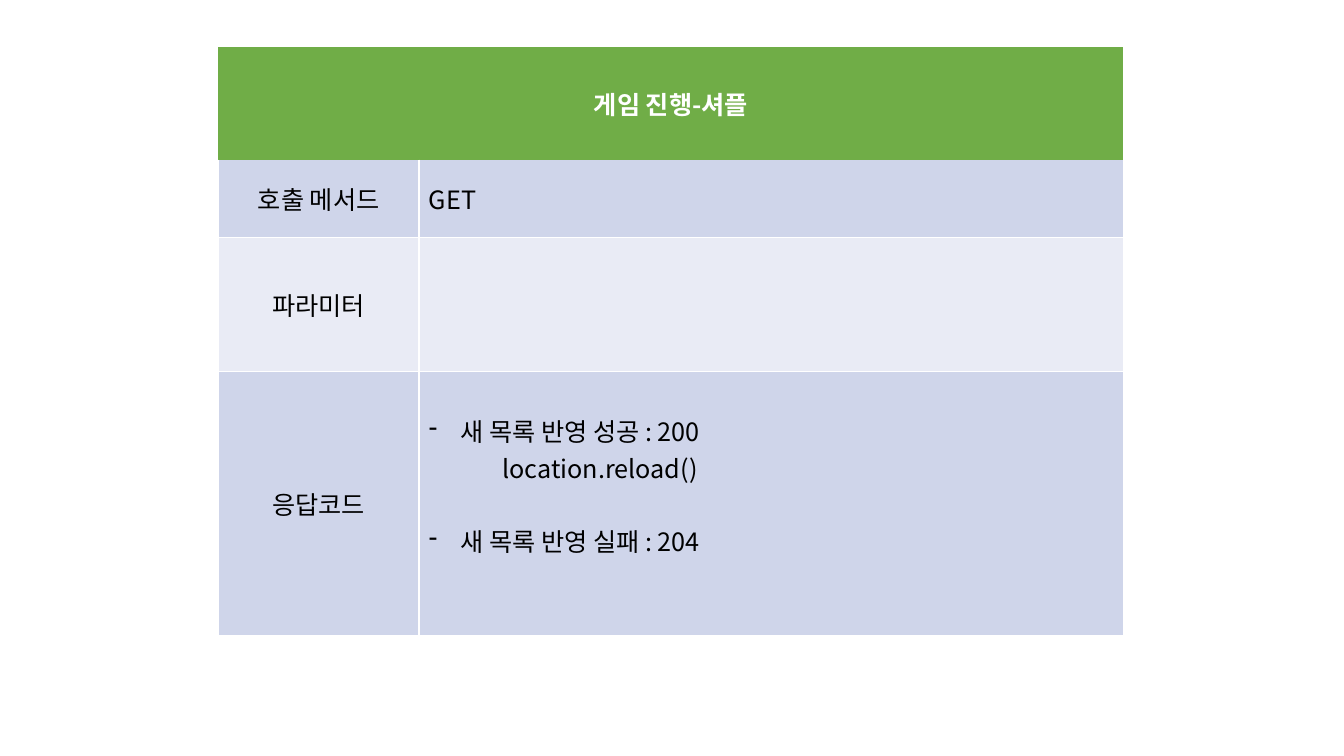
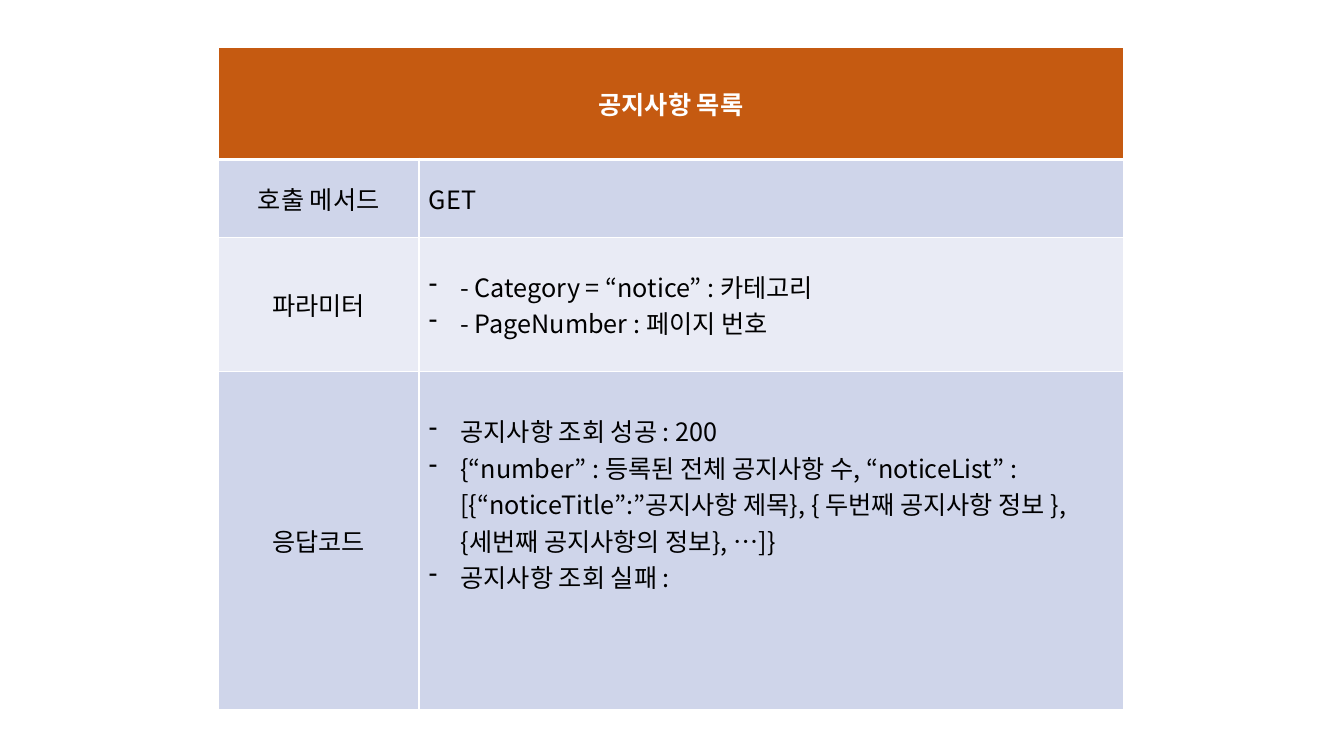
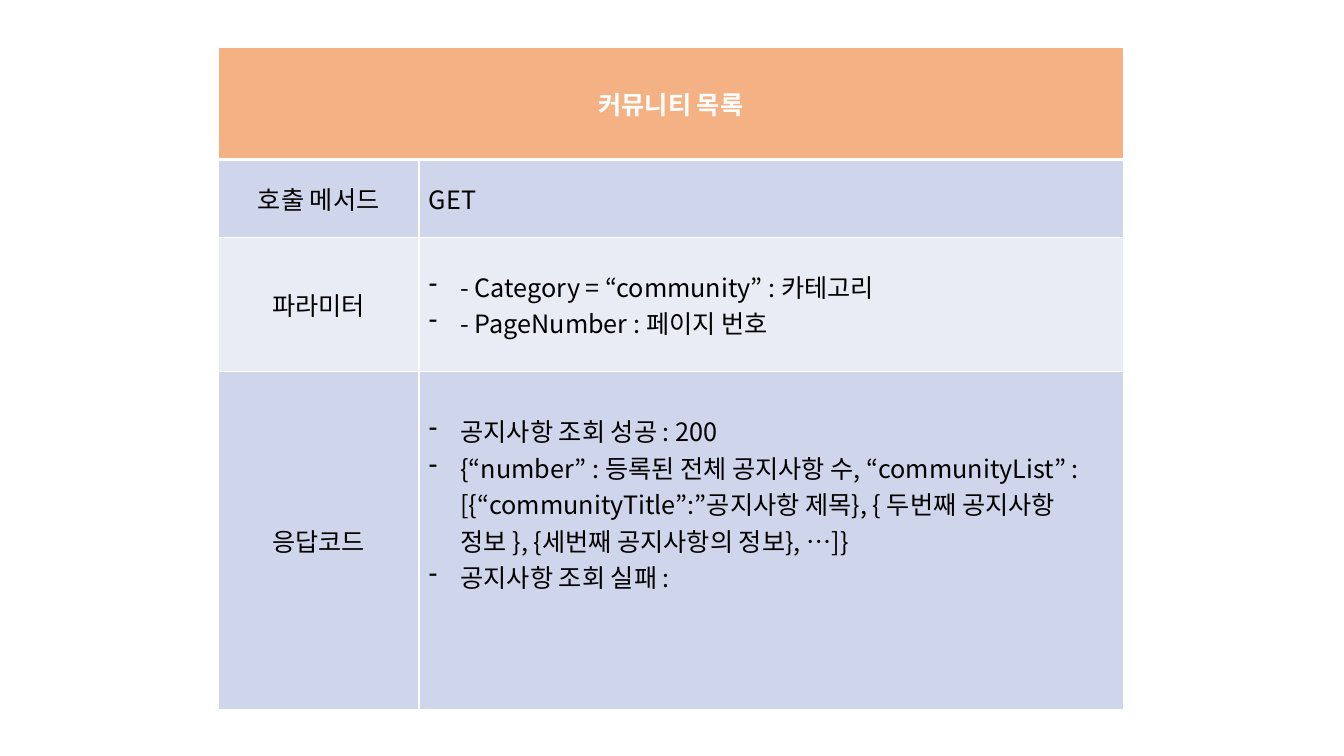
from lxml.etree import SubElement as Sub
from pptx import Presentation
from pptx.dml.color import RGBColor as RGB
from pptx.enum.text import MSO_ANCHOR as ANC, PP_ALIGN as ALIGN
from pptx.oxml.ns import qn
from pptx.util import Pt

PX = 9525
FONT = "Noto Sans CJK KR"
WHITE = RGB(0xFF, 0xFF, 0xFF)
BLACK = RGB(0x00, 0x00, 0x00)
GREEN = RGB(0x70, 0xAD, 0x47)
RUST = RGB(0xC5, 0x5A, 0x11)
PEACH = RGB(0xF4, 0xB1, 0x83)
BLUE = RGB(0xCF, 0xD5, 0xEA)
PALE = RGB(0xE9, 0xEB, 0xF5)

LEFT, TOP = 208, 45
COLS = [191, 671]
ROWS = [107, 74, 128]
LABELS = ["호출 메서드", "파라미터", "응답코드"]
FILLS = [BLUE, PALE, BLUE]
DASH, PLAIN, DEEP = "dash", "plain", "deep"
GAP = 26


def edge(cell, sides):
    props = cell._tc.get_or_add_tcPr()
    for side in "LRTB":
        width = sides.get(side, 1)
        line = Sub(props, qn("a:ln" + side), w=str(Pt(width)))
        if width:
            Sub(Sub(line, qn("a:solidFill")), qn("a:srgbClr"), val=str(WHITE))
        else:
            Sub(line, qn("a:noFill"))


def write(para, text, color=BLACK, bold=False, kind=PLAIN):
    run = para.add_run()
    run.text = text
    font = run.font
    font.size, font.bold, font.name = Pt(18), bold, FONT
    font.color.rgb = color
    Sub(run._r.get_or_add_rPr(), qn("a:ea"), typeface=FONT)
    props = para._p.get_or_add_pPr()
    if kind == DASH:
        props.set("marL", str(30 * PX))
        props.set("indent", str(-30 * PX))
        Sub(props, qn("a:buFontTx"))
        Sub(props, qn("a:buChar"), char="-")
    elif kind == DEEP:
        props.set("marL", str(70 * PX))


pages = [
    ("게임 진행-셔플", GREEN, 251, 0, [], [
        (DASH, 0, "새 목록 반영 성공 : 200"),
        (DEEP, 0, "location.reload()"),
        (DASH, GAP, "새 목록 반영 실패 : 204"),
    ]),
]
for title, color, word in [("공지사항 목록", RUST, "notice"),
                           ("커뮤니티 목록", PEACH, "community")]:
    pages.append((title, color, 322, 3, [
        (DASH, 0, f"- Category = “{word}” : 카테고리"),
        (DASH, 0, "- PageNumber : 페이지 번호"),
    ], [
        (DASH, 0, "공지사항 조회 성공 : 200"),
        (DASH, 0, f"{{“number” : 등록된 전체 공지사항 수, “{word}List” : "
                  f"[{{“{word}Title”:”공지사항 제목}}, {{ 두번째 공지사항 정보 }}, "
                  "{세번째 공지사항의 정보}, …]}"),
        (DASH, 0, "공지사항 조회 실패 :"),
    ]))

deck = Presentation()
deck.slide_width, deck.slide_height = 1280 * PX, 720 * PX

for title, color, last, rule, params, codes in pages:
    slide = deck.slides.add_slide(deck.slide_layouts[6])
    highs = ROWS + [last]
    frame = slide.shapes.add_table(4, 2, LEFT * PX, TOP * PX,
                                   sum(COLS) * PX, sum(highs) * PX)
    table = frame.table
    for col, wide in zip(table.columns, COLS):
        col.width = wide * PX
    for row, high in zip(table.rows, highs):
        row.height = high * PX

    side = 1 if rule else 0
    head = table.cell(0, 0)
    head.merge(table.cell(0, 1))
    for cell in table.rows[0].cells:
        edge(cell, {"L": side, "R": side, "T": side, "B": rule})
        cell.fill.solid()
        cell.fill.fore_color.rgb = color
    head.vertical_anchor = ANC.MIDDLE
    para = head.text_frame.paragraphs[0]
    para.alignment = ALIGN.CENTER
    write(para, title, WHITE, True)

    bodies = [[(PLAIN, 0, "GET")], params, codes]
    for r, (label, fill, body) in enumerate(zip(LABELS, FILLS, bodies), 1):
        name, value = table.cell(r, 0), table.cell(r, 1)
        for cell in (name, value):
            edge(cell, {"T": rule} if r == 1 else {})
            cell.fill.solid()
            cell.fill.fore_color.rgb = fill
            cell.vertical_anchor = ANC.MIDDLE
        para = name.text_frame.paragraphs[0]
        para.alignment = ALIGN.CENTER
        write(para, label)
        for i, (kind, gap, text) in enumerate(body):
            text_box = value.text_frame
            para = text_box.add_paragraph() if i else text_box.paragraphs[0]
            if gap:
                para.space_before = Pt(gap)
            write(para, text, kind=kind)
    value.vertical_anchor = ANC.TOP
    value.margin_top = 39 * PX

deck.save("out.pptx")
